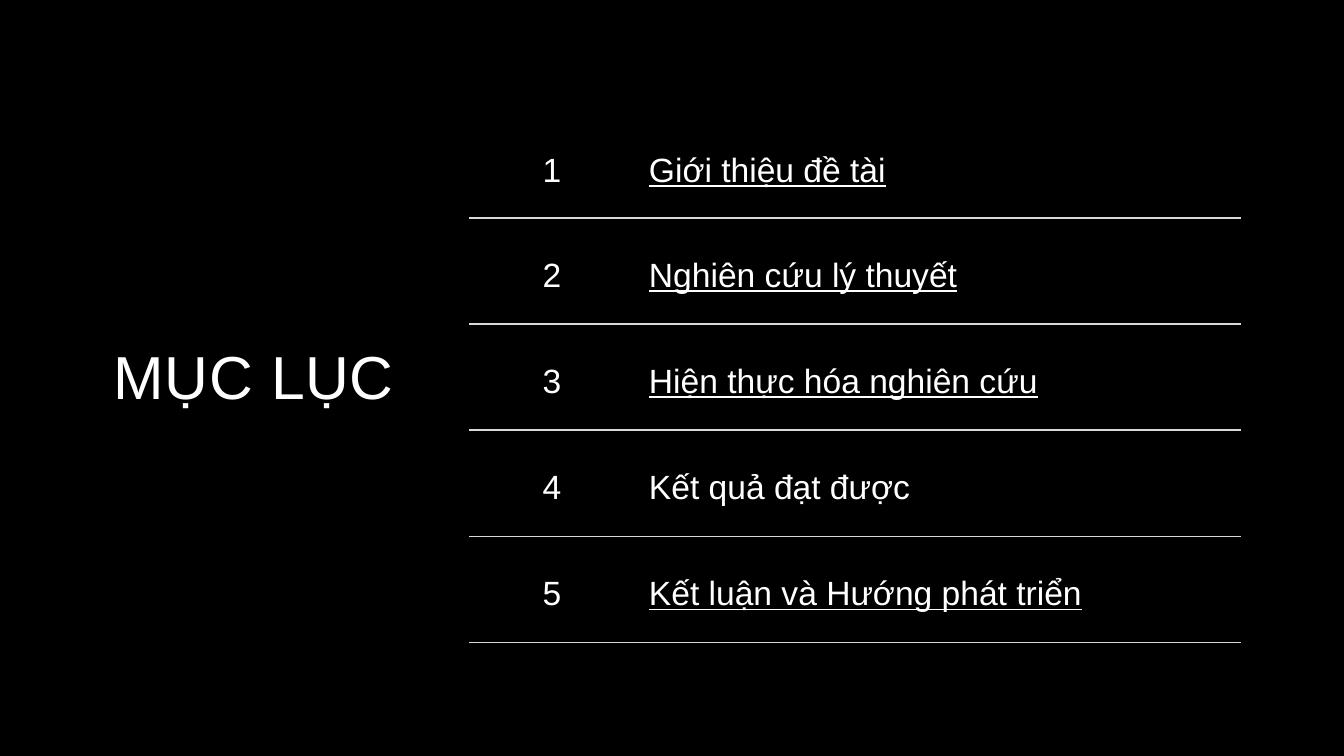
from lxml import etree
from pptx import Presentation
from pptx.dml.color import RGBColor
from pptx.enum.text import MSO_ANCHOR, PP_ALIGN
from pptx.oxml.ns import qn
from pptx.util import Cm, Pt

LEFT, CENTER = PP_ALIGN.LEFT, PP_ALIGN.CENTER
MIDDLE = MSO_ANCHOR.MIDDLE

# Content: entry and whether it is underlined
TITLE = "MỤC LỤC"
ENTRIES = [
    ("Giới thiệu đề tài", True),
    ("Nghiên cứu lý thuyết", True),
    ("Hiện thực hóa nghiên cứu", True),
    ("Kết quả đạt được", False),
    ("Kết luận và Hướng phát triển", True),
]

THEME = {
    "font": "Arial",
    "background": "000000",
    "text": "FFFFFF",
    "rule": "D9D9D9",
    "rule_width": 2.25,
    "title_size": 65,
    "title_leading": 74.1,
    "entry_size": 36,
    "entry_leading": 50.4,
}

# Layout in centimetres
TITLE_BOX = (4.29, 12.93, 17.3, 2.72)
TABLE_LEFT, TABLE_TOP = 17.73, 4.29
COLUMN_WIDTHS = (6.27, 22.89)
FIRST_ROW_HEIGHT, ROW_HEIGHT = 3.96, 4.01
CELL_MARGIN = Cm(0.53)


def write_text(frame, text, size, leading, align=LEFT, underline=False, spacing=None):
    paragraph = frame.paragraphs[0]
    paragraph.alignment = align
    paragraph.line_spacing = Pt(leading)
    run = paragraph.add_run()
    run.text = text
    font = run.font
    font.name = THEME["font"]
    font.size = Pt(size)
    font.underline = underline
    font.color.rgb = RGBColor.from_string(THEME["text"])
    if spacing is not None:
        font._element.set("spc", str(round(spacing * 100)))


def set_borders(cell, ruled_sides):
    """Draw the rule on the named sides and hide the other borders."""
    properties = cell._tc.get_or_add_tcPr()
    for position, side in enumerate(("L", "R", "T", "B")):
        line = etree.Element(qn(f"a:ln{side}"))
        if side in ruled_sides:
            line.set("w", str(Pt(THEME["rule_width"])))
            fill = etree.SubElement(line, qn("a:solidFill"))
            etree.SubElement(fill, qn("a:srgbClr"), val=THEME["rule"])
        else:
            line.set("w", "0")
            etree.SubElement(line, qn("a:noFill"))
        properties.insert(position, line)


def fill_cell(cell, text, ruled_sides, **text_format):
    cell.fill.background()
    cell.vertical_anchor = MIDDLE
    cell.margin_left = cell.margin_right = CELL_MARGIN
    cell.margin_top = cell.margin_bottom = CELL_MARGIN
    write_text(cell.text_frame, text, THEME["entry_size"], THEME["entry_leading"],
               **text_format)
    set_borders(cell, ruled_sides)


def add_title(slide):
    frame = slide.shapes.add_textbox(*map(Cm, TITLE_BOX)).text_frame
    frame.word_wrap = True
    frame.margin_left = frame.margin_right = 0
    frame.margin_top = frame.margin_bottom = 0
    write_text(frame, TITLE, THEME["title_size"], THEME["title_leading"], spacing=0.7)


def add_contents_table(slide):
    heights = [FIRST_ROW_HEIGHT] + [ROW_HEIGHT] * (len(ENTRIES) - 1)
    table = slide.shapes.add_table(
        len(ENTRIES), len(COLUMN_WIDTHS), Cm(TABLE_LEFT), Cm(TABLE_TOP),
        Cm(sum(COLUMN_WIDTHS)), Cm(sum(heights))).table
    table.first_row = table.horz_banding = False
    for column, width in zip(table.columns, COLUMN_WIDTHS):
        column.width = Cm(width)
    for index, (entry, underline) in enumerate(ENTRIES):
        table.rows[index].height = Cm(heights[index])
        ruled_sides = "TB" if index else "B"
        fill_cell(table.cell(index, 0), str(index + 1), ruled_sides, align=CENTER)
        fill_cell(table.cell(index, 1), entry, ruled_sides, underline=underline)


def main():
    presentation = Presentation()
    presentation.slide_width, presentation.slide_height = Cm(50.8), Cm(28.58)
    slide = presentation.slides.add_slide(presentation.slide_layouts[6])
    background = slide.background.fill
    background.solid()
    background.fore_color.rgb = RGBColor.from_string(THEME["background"])
    add_title(slide)
    add_contents_table(slide)
    presentation.save("out.pptx")


if __name__ == "__main__":
    main()
